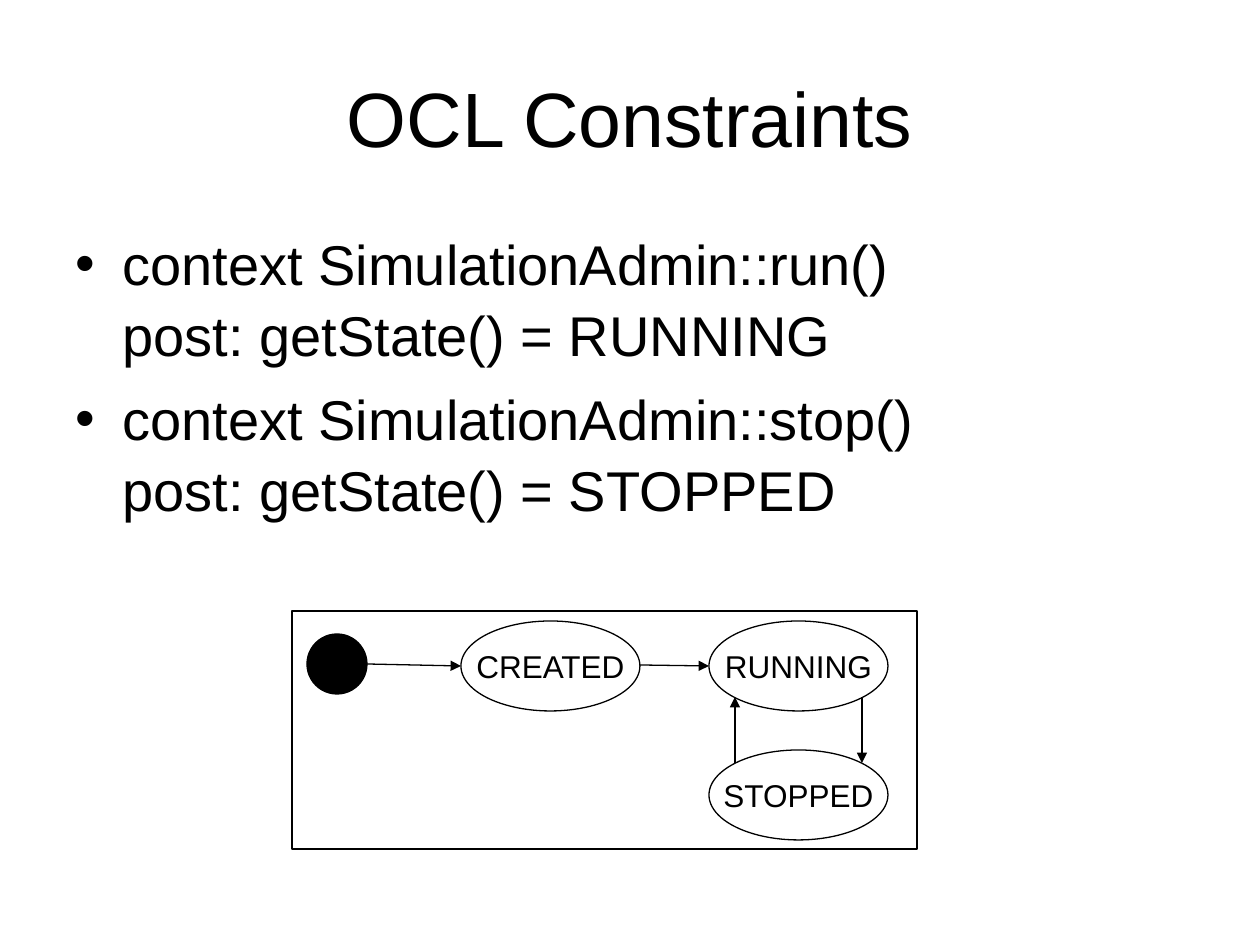
from dataclasses import dataclass

from lxml.etree import SubElement
from pptx import Presentation
from pptx.dml.color import RGBColor
from pptx.enum.shapes import MSO_CONNECTOR, MSO_SHAPE
from pptx.enum.text import MSO_ANCHOR, MSO_AUTO_SIZE, PP_ALIGN
from pptx.oxml.ns import qn
from pptx.shapes.autoshape import Shape
from pptx.shapes.shapetree import GroupShapes
from pptx.text.text import TextFrame, _Paragraph
from pptx.util import Emu, Pt

COLORS = {"ink": "000000", "paper": "FFFFFF"}
FONT = "Arial"
STATE_W, STATE_H = 179, 90


@dataclass(frozen=True)
class Node:
    kind: MSO_SHAPE
    x: int
    y: int
    w: int
    h: int
    fill: str = "paper"
    label: str = ""


@dataclass(frozen=True)
class Arrow:
    x1: int
    y1: int
    x2: int
    y2: int


def px(n: int) -> Emu:
    return Emu(round(n * 914400 / 126))


def color(name: str) -> RGBColor:
    return RGBColor.from_string(COLORS[name])


def state(x: int, y: int, label: str) -> Node:
    return Node(MSO_SHAPE.OVAL, x, y, STATE_W, STATE_H, label=label)


NODES = [
    Node(MSO_SHAPE.RECTANGLE, 292, 611, 625, 238),
    Node(MSO_SHAPE.OVAL, 307, 634, 60, 60, "ink"),
    state(461, 621, "CREATED"),
    state(709, 621, "RUNNING"),
    state(709, 750, "STOPPED"),
]
ARROWS = [
    Arrow(367, 664, 461, 666),
    Arrow(640, 665, 709, 666),
    Arrow(862, 697, 862, 763),
    Arrow(735, 763, 735, 697),
]
CONSTRAINTS = [
    ("context SimulationAdmin::run()", "post: getState() = RUNNING"),
    ("context SimulationAdmin::stop()", "post: getState() = STOPPED"),
]


def add_run(p: _Paragraph, text: str, size: int) -> None:
    r = p.add_run()
    r.text = text
    r.font.name = FONT
    r.font.size = Pt(size)
    r.font.color.rgb = color("ink")


def place(sp: Shape, x: int, y: int, w: int, h: int) -> TextFrame:
    sp.left, sp.top, sp.width, sp.height = map(px, (x, y, w, h))
    tf = sp.text_frame
    tf.auto_size = MSO_AUTO_SIZE.NONE
    return tf


def add_bullet(p: _Paragraph) -> None:
    pPr = p._p.get_or_add_pPr()
    pPr.set("marL", str(px(47)))
    pPr.set("indent", str(-px(47)))
    SubElement(pPr, qn("a:buFont")).set("typeface", FONT)
    SubElement(pPr, qn("a:buChar")).set("char", "•")


def add_node(shapes: GroupShapes, node: Node) -> None:
    sp = shapes.add_shape(node.kind, px(node.x), px(node.y), px(node.w), px(node.h))
    sp.shadow.inherit = False
    sp.fill.solid()
    sp.fill.fore_color.rgb = color(node.fill)
    sp.line.color.rgb = color("ink")
    sp.line.width = Pt(0.75)
    if node.label:
        tf = sp.text_frame
        tf.word_wrap = False
        tf.vertical_anchor = MSO_ANCHOR.MIDDLE
        p = tf.paragraphs[0]
        p.alignment = PP_ALIGN.CENTER
        add_run(p, node.label, 18)


def add_arrow(shapes: GroupShapes, arrow: Arrow) -> None:
    cxn = shapes.add_connector(
        MSO_CONNECTOR.STRAIGHT, px(arrow.x1), px(arrow.y1), px(arrow.x2), px(arrow.y2)
    )
    cxn.line.color.rgb = color("ink")
    cxn.line.width = Pt(0.75)
    SubElement(cxn.line._get_or_add_ln(), qn("a:tailEnd")).set("type", "triangle")
    SubElement(cxn._element.spPr, qn("a:effectLst"))


def main() -> None:
    prs = Presentation()
    prs.slide_width, prs.slide_height = px(1260), px(945)
    s = prs.slides.add_slide(prs.slide_layouts[1])
    s.background.fill.solid()
    s.background.fill.fore_color.rgb = color("paper")

    tf = place(s.shapes.title, 63, 38, 1134, 157)
    tf.vertical_anchor = MSO_ANCHOR.MIDDLE
    p = tf.paragraphs[0]
    p.alignment = PP_ALIGN.CENTER
    add_run(p, "OCL Constraints", 44)

    tf = place(s.placeholders[1], 63, 220, 1134, 624)
    for i, (context, post) in enumerate(CONSTRAINTS):
        p = tf.add_paragraph() if i else tf.paragraphs[0]
        add_bullet(p)
        p.space_before = Pt(8 if i else 0)
        p.line_spacing = 1.05
        add_run(p, context, 32)
        p.add_line_break()
        add_run(p, post, 32)

    group = s.shapes.add_group_shape()
    for node in NODES:
        add_node(group.shapes, node)
    for arrow in ARROWS:
        add_arrow(group.shapes, arrow)

    prs.save("out.pptx")


if __name__ == "__main__":
    main()
